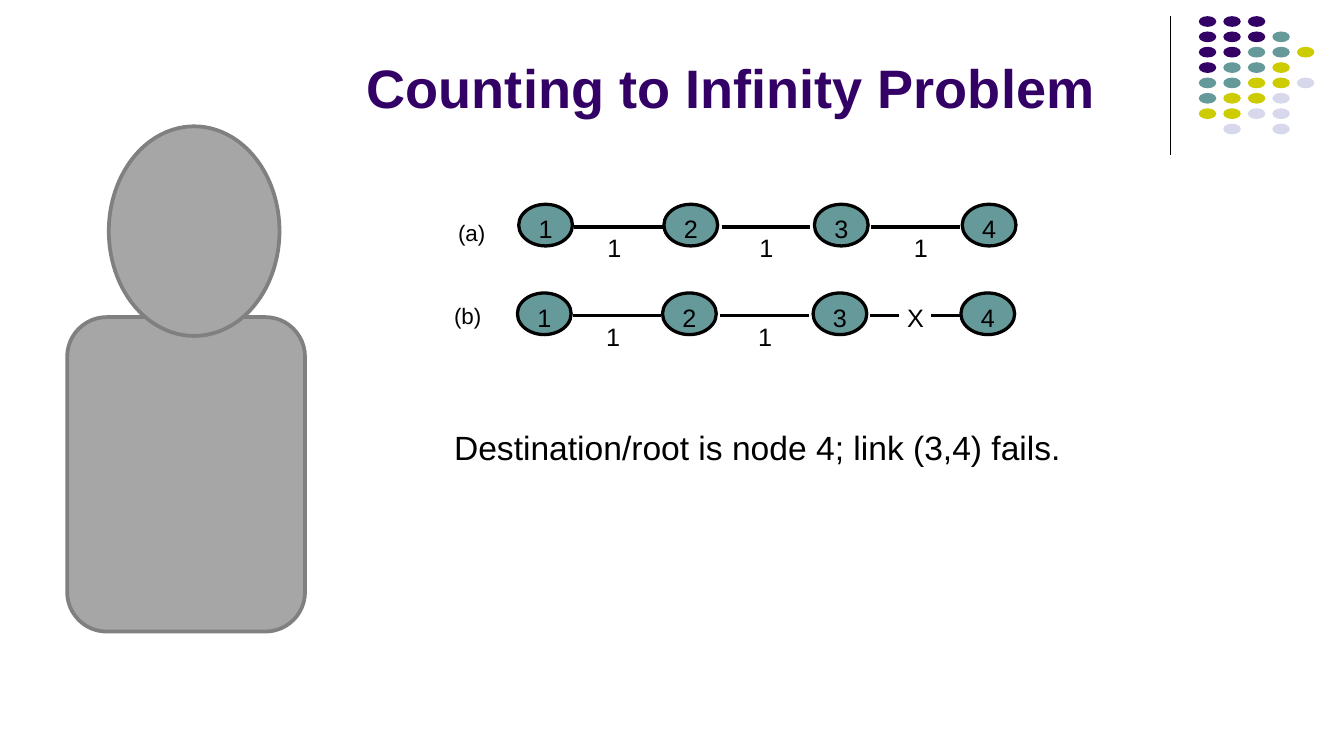
from lxml.etree import SubElement
from pptx import Presentation
from pptx.dml.color import RGBColor
from pptx.enum.shapes import MSO_CONNECTOR, MSO_SHAPE as Preset
from pptx.enum.text import MSO_ANCHOR as Anchor, PP_ALIGN as Align
from pptx.oxml.ns import qn
from pptx.util import Inches, Pt

COLORS = {
    "purple": "330066", "teal": "669999", "olive": "CCCC00", "lilac": "D8D8EC",
    "black": "000000", "gray": "A6A6A6", "dark gray": "808080",
}

deck = Presentation()
deck.slide_width = Inches(10)
deck.slide_height = deck.slide_width * 9 // 16
page = deck.slides.add_slide(deck.slide_layouts[6])


def rgb(name):
    return RGBColor.from_string(COLORS[name])


def write(box, text, size, color="black", bold=False, inset=None, align=Align.LEFT,
          anchor=Anchor.TOP, wrap=True):
    """Fill a shape with one paragraph; inset is (left, top, right, bottom) in inches."""
    frame = box.text_frame
    frame.word_wrap, frame.vertical_anchor = wrap, anchor
    if inset:
        (frame.margin_left, frame.margin_top,
         frame.margin_right, frame.margin_bottom) = map(Inches, inset)
    para = frame.paragraphs[0]
    para.text, para.alignment = text, align
    para.font.name, para.font.size, para.font.bold = "Arial", Pt(size), bold
    para.font.color.rgb = rgb(color)


# Every outline and dot: preset, left, top, width, height, fill, line, line width, text
shapes = []

# Corner dots, one letter per color
dot_colors = {"p": "purple", "t": "teal", "o": "olive", "l": "lilac"}
dot_rows = ["ppp", "pppt", "pptto", "ptto", "ttool", "tool", "ooll", " l l"]
dot_column, dot_row = 0.73 / 4, 0.8 / 7
for row, letters in enumerate(dot_rows):
    for column, letter in enumerate(letters):
        if letter in dot_colors:
            shapes.append((Preset.OVAL, 8.92 + column * dot_column, 0.12 + row * dot_row,
                           0.13, 0.08, dot_colors[letter], None, 0, ""))

# Two chains of four nodes; in the second the last link is broken
node_lefts = [3.86, 4.94, 6.06, 7.16]
link_starts = [4.27, 5.37, 6.48]
cost_lefts = [4.52, 5.65, 6.8]
chain_tops = {"(a)": 1.52, "(b)": 2.18}
chain_shifts = {"(a)": 0, "(b)": -0.01}
label_spots = {"(a)": (3.31, 1.58), "(b)": (3.28, 2.2)}
lines = [(8.71, 0.12, 8.71, 1.15, 0.75)]
marks = []
for chain, top in chain_tops.items():
    shift = chain_shifts[chain]
    for number, left in enumerate(node_lefts, 1):
        shapes.append((Preset.OVAL, left + shift, top, 0.4, 0.31,
                       "teal", "black", 1.75, str(number)))
    for start, cost_left in zip(link_starts, cost_lefts):
        start += shift
        link_y = top + 0.17
        if chain == "(b)" and cost_left == cost_lefts[-1]:
            lines += [(start, link_y, start + 0.22, link_y, 1.75),
                      (start + 0.46, link_y, start + 0.68, link_y, 1.75)]
            marks.append(("X", 6.75, top + 0.07, 0.13))
        else:
            lines.append((start, link_y, start + 0.66, link_y, 1.75))
            marks.append(("1", cost_left + shift, top + 0.21, 0.11))

# Figure: body, then head
shapes += [
    (Preset.ROUNDED_RECTANGLE, 0.5, 2.36, 1.77, 2.34, "gray", "dark gray", 2, ""),
    (Preset.OVAL, 0.81, 0.94, 1.27, 1.56, "gray", "dark gray", 2, ""),
]

for preset, left, top, width, height, fill, line, line_width, text in shapes:
    shape = page.shapes.add_shape(preset, *map(Inches, (left, top, width, height)))
    shape.shadow.inherit = False
    shape.fill.solid()
    shape.fill.fore_color.rgb = rgb(fill)
    if line:
        shape.line.color.rgb = rgb(line)
        shape.line.width = Pt(line_width)
    else:
        shape.line.fill.background()
    if text:
        write(shape, text, 13.5, inset=(0, 0.05, 0, 0), align=Align.CENTER,
              anchor=Anchor.MIDDLE)

for x1, y1, x2, y2, width in lines:
    line = page.shapes.add_connector(MSO_CONNECTOR.STRAIGHT,
                                     *map(Inches, (x1, y1, x2, y2)))
    line.line.color.rgb = rgb("black")
    line.line.width = Pt(width)
    SubElement(line._element.spPr, qn("a:effectLst"))

for text, left, top, width in marks:
    box = page.shapes.add_textbox(*map(Inches, (left, top, width, 0.23)))
    write(box, text, 13.5, inset=(0, 0, 0, 0), wrap=False)

for label, (left, top) in label_spots.items():
    box = page.shapes.add_textbox(*map(Inches, (left, top, 0.41, 0.51)))
    write(box, label, 12)

title = page.shapes.add_textbox(*map(Inches, (2.63, 0.1, 6.12, 0.84)))
write(title, "Counting to Infinity Problem", 29, "purple", bold=True, anchor=Anchor.BOTTOM)

caption = page.shapes.add_textbox(*map(Inches, (3.28, 3.13, 4.88, 0.4)))
write(caption, "Destination/root is node 4; link (3,4) fails.", 18)

deck.save("out.pptx")
